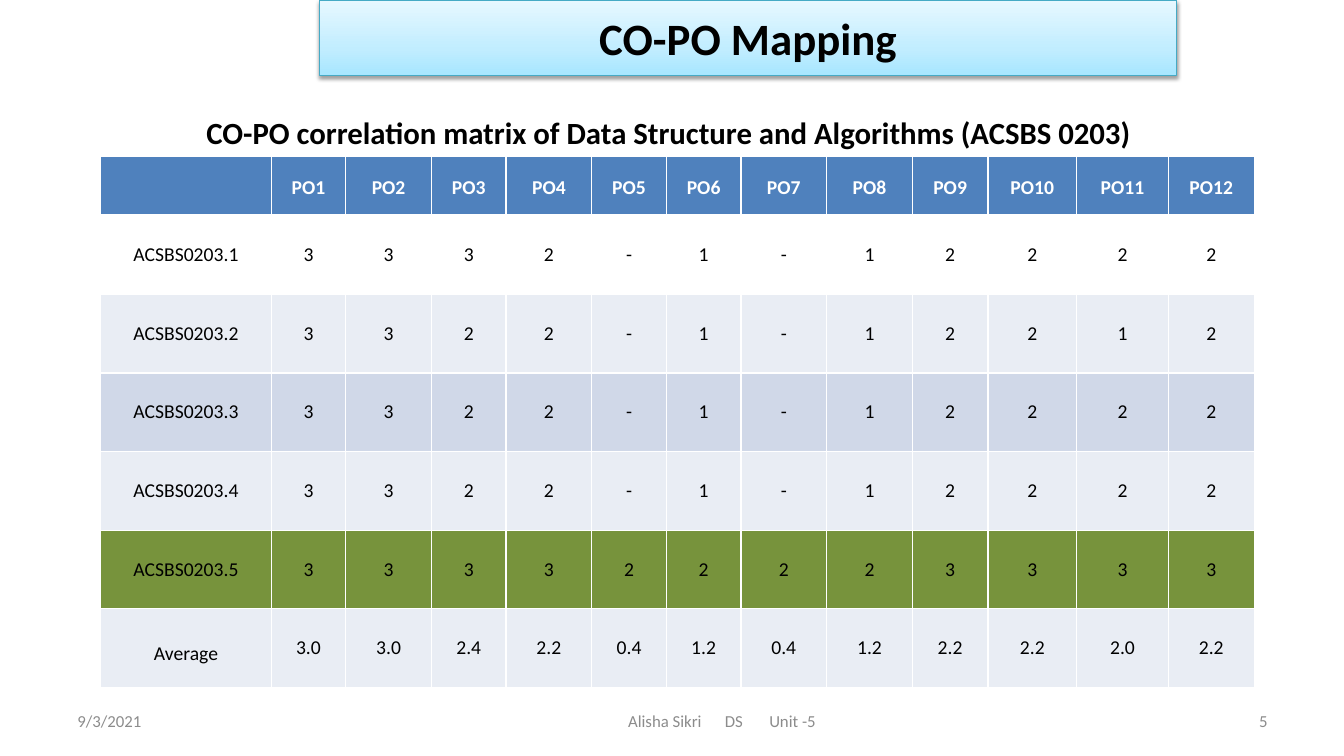
from copy import deepcopy
from lxml.etree import SubElement as Sub
from pptx import Presentation
from pptx.dml.color import RGBColor as RGB
from pptx.enum.shapes import MSO_SHAPE as Shape
from pptx.enum.text import MSO_ANCHOR as Anchor, PP_ALIGN as Align
from pptx.oxml.ns import qn
from pptx.util import Pt

PX = 9144
HUES = {
    "black": "000000", "white": "FFFFFF", "gray": "8C8C8C",
    "head": "4F81BD", "pale": "E9EDF4", "band": "D0D8E8", "green": "77933C",
    "edge": "46AAC5", "low": "A7E6FF", "mid": "C1EDFF", "high": "E7F8FF",
}
SIDES = {"l": Align.LEFT, "c": Align.CENTER, "r": Align.RIGHT}
WIDTHS = [169, 74, 85, 74, 85, 74, 74, 85, 85, 75, 88, 91, 85]
HEADS = [""] + [f"PO{n}" for n in range(1, 13)]
ROWS = [
    ("ACSBS0203.1", "3 3 3 2 - 1 - 1 2 2 2 2", "white"),
    ("ACSBS0203.2", "3 3 2 2 - 1 - 1 2 2 1 2", "pale"),
    ("ACSBS0203.3", "3 3 2 2 - 1 - 1 2 2 2 2", "band"),
    ("ACSBS0203.4", "3 3 2 2 - 1 - 1 2 2 2 2", "pale"),
    ("ACSBS0203.5", "3 3 3 3 2 2 2 2 3 3 3 3", "green"),
    ("Average", "3.0 3.0 2.4 2.2 0.4 1.2 0.4 1.2 2.2 2.2 2.0 2.2", "pale"),
]


def hue(name):
    return RGB.from_string(HUES[name])


def emu(*sizes):
    return [size * PX for size in sizes]


def write(frame, text, size=14, color="black", bold=False, side="c",
          lead=None, tabs=()):
    frame.word_wrap = True
    para = frame.paragraphs[0]
    para.alignment = SIDES[side]
    if lead:
        para.line_spacing = lead
    if tabs:
        stops = Sub(para._p.get_or_add_pPr(), qn("a:tabLst"))
        for stop in tabs:
            Sub(stops, qn("a:tab"), pos=str(stop * PX), algn="l")
    run = para.add_run()
    run.text = text
    font = run.font
    font.name, font.size, font.bold = "Calibri", Pt(size), bold
    font.color.rgb = hue(color)


def label(slide, box, text, anchor=Anchor.MIDDLE, inset=10, **style):
    frame = slide.shapes.add_textbox(*emu(*box)).text_frame
    frame.vertical_anchor = anchor
    frame.margin_left = inset * PX
    write(frame, text, **style)


def banner(slide, box, text):
    bar = slide.shapes.add_shape(Shape.RECTANGLE, *emu(*box))
    bar.fill.gradient()
    bar.fill.gradient_angle = 90
    first = bar._element.spPr.find(".//" + qn("a:gs"))
    first.addnext(deepcopy(first))
    tones = [(0, "low"), (0.35, "mid"), (1, "high")]
    for stop, (place, tone) in zip(bar.fill.gradient_stops, tones):
        stop.position = place
        stop.color.rgb = hue(tone)
    bar.line.color.rgb = hue("edge")
    bar.line.width = Pt(0.75)
    bar.shadow.inherit = False
    glow = Sub(bar._element.spPr.find(qn("a:effectLst")), qn("a:outerShdw"),
               blurRad=str(Pt(3.1)), dist=str(Pt(1.6)), dir="5400000",
               rotWithShape="0")
    tint = Sub(glow, qn("a:srgbClr"), val=HUES["black"])
    Sub(tint, qn("a:alpha"), val="38000")
    bar.text_frame.vertical_anchor = Anchor.MIDDLE
    write(bar.text_frame, text, size=32, bold=True)


def border(cell, top, low):
    props = cell._tc.get_or_add_tcPr()
    edges = zip(("a:lnL", "a:lnR", "a:lnT", "a:lnB"), (1, 1, top, low))
    for spot, (tag, width) in enumerate(edges):
        line = props.makeelement(qn(tag), {"w": str(Pt(width))})
        fill = Sub(line, qn("a:solidFill"))
        Sub(fill, qn("a:srgbClr"), val=HUES["white"])
        props.insert(spot, line)


def matrix(slide, box):
    count = len(ROWS) + 1
    table = slide.shapes.add_table(count, len(WIDTHS), *emu(*box)).table
    table.horz_banding = False
    for col, width in zip(table.columns, WIDTHS):
        col.width = width * PX
    lines = [(HEADS, "head")]
    lines += [([name, *marks.split()], tone) for name, marks, tone in ROWS]
    for y, (texts, tone) in enumerate(lines):
        top = y == 0
        table.rows[y].height = (59 if top else 78) * PX
        for x, text in enumerate(texts):
            cell = table.cell(y, x)
            cell.fill.solid()
            cell.fill.fore_color.rgb = hue(tone)
            cell.vertical_anchor = Anchor.MIDDLE
            if top or x == 0:
                cell.margin_left = cell.margin_right = 7 * PX
                cell.margin_top = cell.margin_bottom = 0
            border(cell, 3 if y == 1 else 1, 3 if top else 1)
            lead = 1.15 if top else 1.5 if text == "Average" else None
            write(cell.text_frame, text, color="white" if top else "black",
                  bold=top, lead=lead)


def footer(slide, box):
    left, top, width, high = box
    style = {"size": 12, "color": "gray"}
    label(slide, (left, top, 311, high), "9/3/2021", side="l", **style)
    label(slide, (left + 375, top, 550, high), "Alisha Sikri\tDS\tUnit -5",
          inset=181, side="l", tabs=(96, 140), **style)
    label(slide, (left + width - 311, top, 311, high), "5", side="r", **style)


def main():
    deck = Presentation()
    deck.slide_width, deck.slide_height = emu(1333, 750)
    slide = deck.slides.add_slide(deck.slide_layouts[6])
    matrix(slide, (100, 155, sum(WIDTHS), 527))
    footer(slide, (67, 695, 1200, 40))
    banner(slide, (317, 0, 850, 75), "CO-PO Mapping")
    label(slide, (142, 108, 1042, 47),
          "CO-PO correlation matrix of Data Structure and Algorithms (ACSBS 0203)",
          anchor=Anchor.TOP, size=22, bold=True)
    deck.save("out.pptx")


if __name__ == "__main__":
    main()
